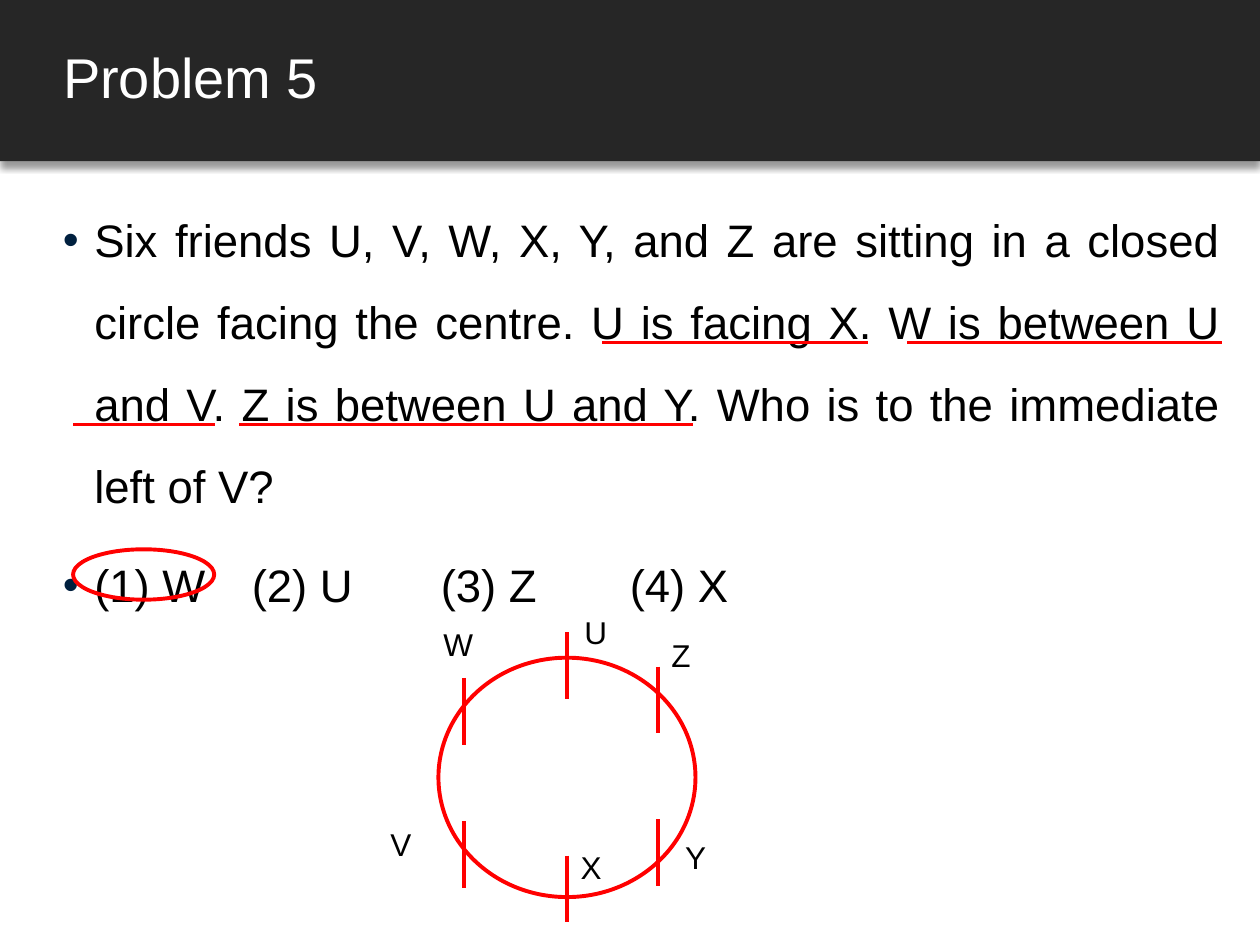
from lxml import etree
from pptx import Presentation
from pptx.dml.color import RGBColor
from pptx.enum.shapes import MSO_CONNECTOR, MSO_SHAPE
from pptx.enum.text import MSO_ANCHOR, MSO_AUTO_SIZE, PP_ALIGN
from pptx.oxml import parse_xml
from pptx.oxml.ns import nsdecls, qn
from pptx.util import Inches, Pt

WHITE = RGBColor(0xFF, 0xFF, 0xFF)
BLACK = RGBColor(0x00, 0x00, 0x00)
CHARCOAL = RGBColor(0x26, 0x26, 0x26)
RED = RGBColor(0xFF, 0x00, 0x00)
NAVY = RGBColor(0x00, 0x20, 0x3F)

QUESTION = (
    "Six friends U, V, W, X, Y, and Z are sitting in a closed circle facing "
    "the centre. U is facing X. W is between U and V. Z is between U and Y. "
    "Who is to the immediate left of V?"
)
OPTIONS = "(1) W \t(2) U \t\t(3) Z \t\t(4) X"

TICK = 0.53
SEAT_TICKS = [(4.5, 5.02), (4.5, 6.79), (5.22, 5.29),
              (5.22, 6.5), (3.68, 5.38), (3.68, 6.52)]
SEAT_LABELS = [("W", 3.42, 4.91), ("Y", 5.34, 6.6), ("U", 4.54, 4.82),
               ("Z", 5.23, 5), ("X", 4.51, 6.68), ("V", 3, 6.5)]
UNDERLINES = [(4.78, 6.89, 2.72), (7.2, 9.7, 2.72),
              (0.58, 1.71, 3.37), (1.9, 5.5, 3.37)]


class SlideBuilder:
    font = "Arial"

    def __init__(self, slide):
        self.s = slide
        self.shapes = slide.shapes

    def add_run(self, p, text, size, color):
        r = p.add_run()
        r.text = text
        r.font.name = self.font
        r.font.size = Pt(size)
        r.font.color.rgb = color

    def header(self, text, width, height):
        """Dark band with a soft shadow, and the title on top of it."""
        band = self.shapes.add_shape(
            MSO_SHAPE.RECTANGLE, 0, 0, Inches(width), Inches(height))
        band.fill.solid()
        band.fill.fore_color.rgb = CHARCOAL
        band.line.fill.background()
        band.element.spPr.append(parse_xml(
            f'<a:effectLst {nsdecls("a")}>'
            f'<a:outerShdw blurRad="{Pt(4)}" dist="{Pt(3)}" dir="5400000" '
            'algn="t" rotWithShape="0"><a:srgbClr val="000000">'
            '<a:alpha val="40000"/></a:srgbClr></a:outerShdw></a:effectLst>'))

        title = self.shapes.title
        title.element.addprevious(band.element)
        title.left, title.top = Inches(0.4), 0
        title.width, title.height = Inches(width - 0.4), Inches(height)
        tf = title.text_frame
        tf.auto_size = MSO_AUTO_SIZE.NONE
        tf.vertical_anchor = MSO_ANCHOR.MIDDLE
        p = tf.paragraphs[0]
        p.alignment = PP_ALIGN.LEFT
        p.line_spacing = 0.9
        p.space_after = Pt(6)
        self.add_run(p, text, 32, WHITE)

    def bullets(self, texts, left, top, width, height):
        tf = self.shapes.add_textbox(
            Inches(left), Inches(top), Inches(width), Inches(height)).text_frame
        tf.word_wrap = True
        for i, text in enumerate(texts):
            p = tf.add_paragraph() if i else tf.paragraphs[0]
            p.alignment = PP_ALIGN.JUSTIFY
            p.line_spacing = 1.5
            p.space_before = Pt(10 if i else 0)
            pPr = p._p.get_or_add_pPr()
            pPr.set("marL", str(Inches(0.25)))
            pPr.set("indent", str(-Inches(0.25)))
            bu_color = etree.SubElement(pPr, qn("a:buClr"))
            etree.SubElement(bu_color, qn("a:srgbClr"), val=str(NAVY))
            etree.SubElement(pPr, qn("a:buFont"), typeface=self.font)
            etree.SubElement(pPr, qn("a:buChar"), char="•")
            self.add_run(p, text, 26, BLACK)

    def ellipse(self, left, top, width, height):
        sp = self.shapes.add_shape(
            MSO_SHAPE.OVAL, Inches(left), Inches(top), Inches(width), Inches(height))
        sp.shadow.inherit = False
        sp.fill.background()
        sp.line.color.rgb = RED
        sp.line.width = Pt(2.25)

    def line(self, x1, y1, x2, y2, weight):
        cxn = self.shapes.add_connector(
            MSO_CONNECTOR.STRAIGHT, Inches(x1), Inches(y1), Inches(x2), Inches(y2))
        cxn.line.color.rgb = RED
        cxn.line.width = Pt(weight)
        etree.SubElement(cxn.element.spPr, qn("a:effectLst"))

    def label(self, text, left, top):
        tf = self.shapes.add_textbox(
            Inches(left), Inches(top), Inches(0.54), Inches(0.4)).text_frame
        tf.word_wrap = True
        tf.auto_size = MSO_AUTO_SIZE.SHAPE_TO_FIT_TEXT
        self.add_run(tf.paragraphs[0], text, 18, BLACK)


def main():
    prs = Presentation()
    prs.slide_width, prs.slide_height = Inches(10), Inches(7.5)
    title_only = prs.slide_layouts[5]
    b = SlideBuilder(prs.slides.add_slide(title_only))

    b.header("Problem 5", 10, 1.28)
    b.bullets([QUESTION, OPTIONS], 0.4, 1.42, 9.39, 5.91)

    b.ellipse(3.48, 5.22, 2.04, 1.9)
    for x, y in SEAT_TICKS:
        b.line(x, y, x, y + TICK, 2.25)
    for name, left, top in SEAT_LABELS:
        b.label(name, left, top)

    b.ellipse(0.58, 4.36, 1.12, 0.4)
    for x1, x2, y in UNDERLINES:
        b.line(x1, y, x2, y, 1.5)

    prs.save("out.pptx")


if __name__ == "__main__":
    main()
